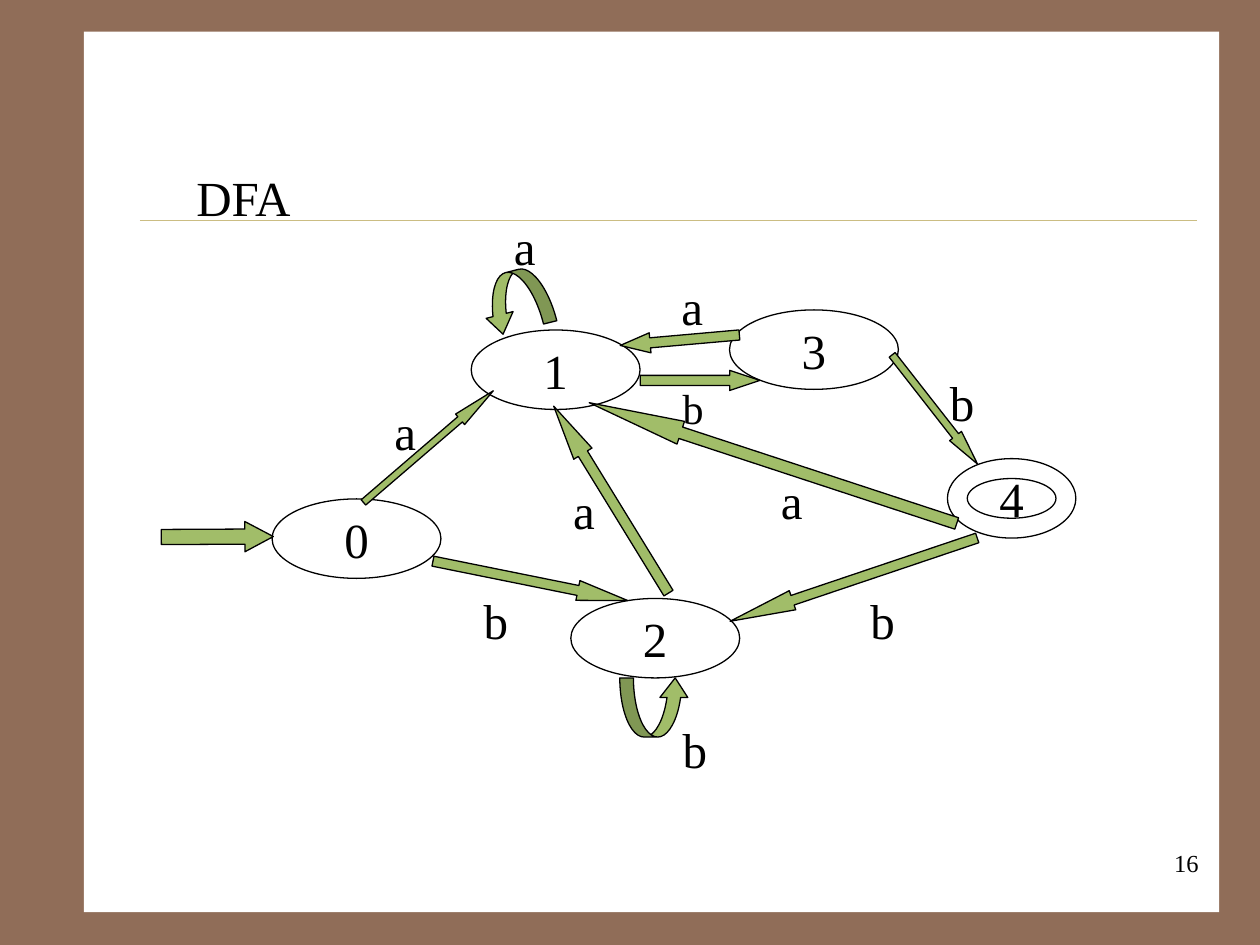
from math import atan2, degrees, hypot

from pptx import Presentation
from pptx.dml.color import RGBColor
from pptx.enum.shapes import MSO_CONNECTOR, MSO_SHAPE
from pptx.enum.text import MSO_ANCHOR, PP_ALIGN
from pptx.oxml.ns import qn
from pptx.util import Pt
from lxml.etree import SubElement

BROWN = RGBColor(0x90, 0x6D, 0x58)
WHITE = RGBColor(0xFF, 0xFF, 0xFF)
BLACK = RGBColor(0, 0, 0)
GREEN = RGBColor(0xA1, 0xBD, 0x69)
SAND = RGBColor(0xCB, 0xBD, 0x83)
FONT = "Times New Roman"

# State: name, left, top, width
NODE_H = 45.4
ACCEPT = "4"
STATES = [
    ("0", 155.5, 285.1, 96.5),
    ("1", 269.3, 188.6, 96.5),
    ("2", 326.2, 342, 96.5),
    ("3", 416.9, 177.1, 96.5),
    ("4", 541.4, 262.1, 73.4),
]

# Arrow: tail, tip, thickness, head length over thickness
ARROWS = [
    ((92.2, 306.9), (156.2, 306.6), 17.3, 0.94),   # start to 0
    ((207.7, 287.1), (281.9, 223.3), 7.9, 3.16),   # 0 to 1
    ((247.4, 320.7), (358.8, 343.2), 11.5, 2.53),  # 0 to 2
    ((365.8, 217.4), (434.2, 217.4), 11.5, 1.5),   # 1 to 3
    ((382, 338.9), (316.4, 232.1), 12.2, 2.61),    # 2 to 1
    ((422.5, 191.4), (354.4, 197.4), 11.5, 1.49),  # 3 to 1
    ((509.8, 202.8), (558.6, 265.2), 8.6, 2.37),   # 3 to 4
    ((546.7, 299.1), (336.7, 230.1), 13.7, 4.02),  # 4 to 1
    ((558.4, 307.4), (417.2, 355), 11.5, 3.27),    # 4 to 2
]

# Loop: left, top, turn
LOOP_W, LOOP_H = 39.6, 33.8
LOOPS = [(275, 154.8, 165.9), (354.2, 387.4, 0)]

# Label: text, left, top, width, size
LABELS = [
    ("DFA", 105.1, 88.6, 90.7, 28),
    ("a", 286.6, 116.6, 23, 28),
    ("a", 382.3, 151.2, 28.1, 28),
    ("b", 383, 211.7, 17.3, 24),
    ("b", 535.7, 205.9, 16.6, 28),
    ("a", 218.2, 222.5, 23, 28),
    ("a", 439.2, 262.1, 17.3, 28),
    ("a", 320.4, 267.8, 17.3, 28),
    ("b", 269.3, 330.5, 22.3, 28),
    ("b", 490.3, 330.5, 22.3, 28),
    ("b", 383, 403.9, 22.3, 28),
]


def write(shape, text, size=28, align=PP_ALIGN.LEFT, anchor=MSO_ANCHOR.TOP,
          wrap=True, top=3.6):
    frame = shape.text_frame
    frame.word_wrap = wrap
    frame.vertical_anchor = anchor
    frame.margin_left = frame.margin_right = Pt(7.2)
    frame.margin_top, frame.margin_bottom = Pt(top), Pt(3.6)
    para = frame.paragraphs[0]
    para.alignment = align
    run = para.add_run()
    run.text = text
    run.font.size = Pt(size)
    run.font.name = FONT
    run.font.color.rgb = BLACK


def draw(shapes, kind, box, fill=None, line=BLACK, adjust=(), turn=0):
    shape = shapes.add_shape(kind, *map(Pt, box))
    shape.shadow.inherit = False
    if fill is None:
        shape.fill.background()
    else:
        shape.fill.solid()
        shape.fill.fore_color.rgb = fill
    if line is None:
        shape.line.fill.background()
    else:
        shape.line.color.rgb = line
        shape.line.width = Pt(0.75)
    for spot, value in enumerate(adjust):
        shape.adjustments[spot] = value
    shape.rotation = turn
    return shape


def aim(shapes, tail, tip, thick, head):
    """Draw a block arrow whose axis runs from tail to tip."""
    (x1, y1), (x2, y2) = tail, tip
    size = hypot(x2 - x1, y2 - y1)
    box = ((x1 + x2 - size) / 2, (y1 + y2 - thick) / 2, size, thick)
    turn = degrees(atan2(y2 - y1, x2 - x1)) % 360
    draw(shapes, MSO_SHAPE.RIGHT_ARROW, box, GREEN, adjust=(0.5, head), turn=turn)


def rule(shapes, x1, x2, y):
    line = shapes.add_connector(MSO_CONNECTOR.STRAIGHT, Pt(x1), Pt(y), Pt(x2), Pt(y))
    line.line.color.rgb = SAND
    line.line.width = Pt(0.25)
    SubElement(line.element.spPr, qn("a:effectLst"))


def label(shapes, text, box, **style):
    write(shapes.add_textbox(*map(Pt, box)), text, **style)


def main():
    deck = Presentation()
    deck.slide_width, deck.slide_height = Pt(720), Pt(540)
    slide = deck.slides.add_slide(deck.slide_layouts[6])
    slide.background.fill.solid()
    slide.background.fill.fore_color.rgb = BROWN
    shapes = slide.shapes

    draw(shapes, MSO_SHAPE.RECTANGLE, (48, 18, 648.7, 503.3), WHITE, None)
    rule(shapes, 80, 684, 126)

    for name, left, top, width in STATES:
        final = name == ACCEPT
        kind = MSO_SHAPE.DONUT if final else MSO_SHAPE.OVAL
        node = draw(shapes, kind, (left, top, width, NODE_H),
                    adjust=(0.25,) if final else ())
        write(node, name, align=PP_ALIGN.CENTER, anchor=MSO_ANCHOR.MIDDLE, wrap=False)

    for arrow in ARROWS:
        aim(shapes, *arrow)
    for left, top, turn in LOOPS:
        draw(shapes, MSO_SHAPE.CURVED_UP_ARROW, (left, top, LOOP_W, LOOP_H), GREEN,
             adjust=(0.23, 0.47, 0.33), turn=turn)

    for text, left, top, width, size in LABELS:
        label(shapes, text, (left, top, width, size * 1.47), size=size, top=7)
    label(shapes, "16", (542.2, 481, 149.8, 36), size=14, align=PP_ALIGN.RIGHT)

    deck.save("out.pptx")


if __name__ == "__main__":
    main()
